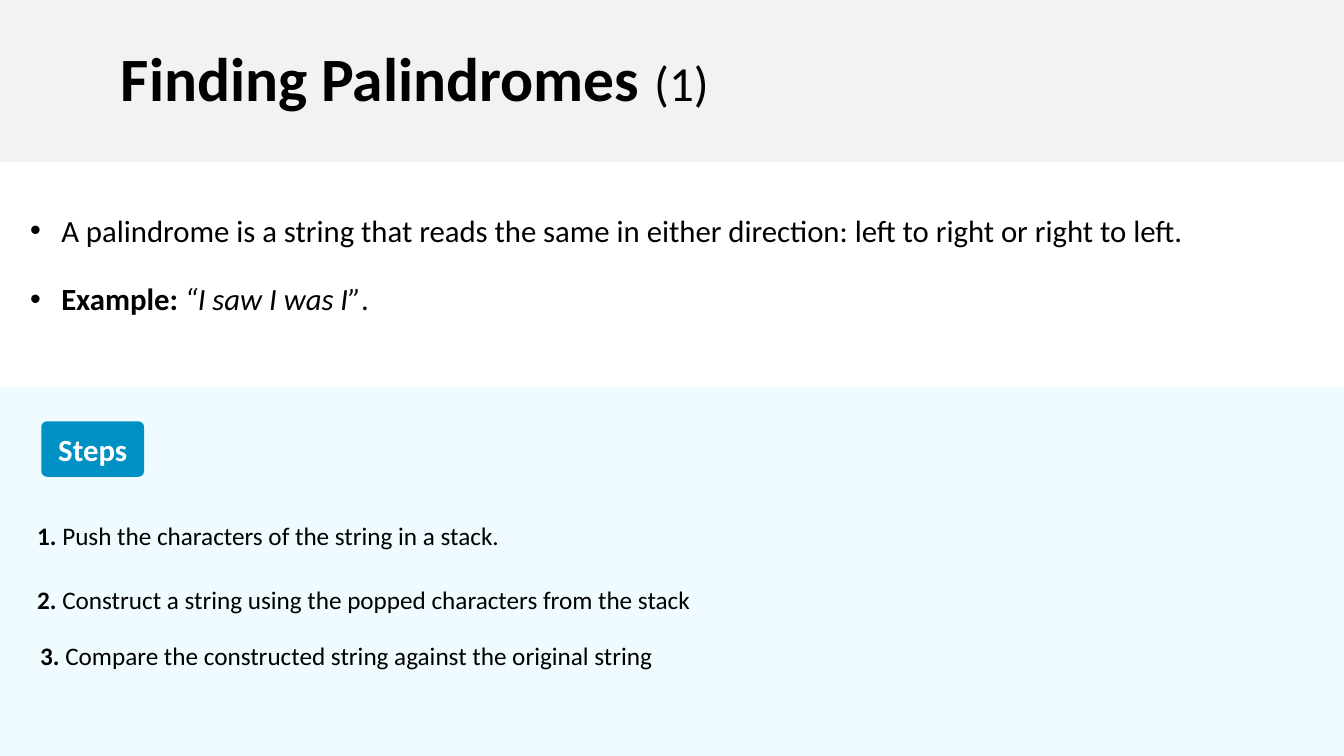
"""Builds the slide on finding palindromes with a stack."""
from lxml import etree
from pptx import Presentation
from pptx.dml.color import RGBColor
from pptx.enum.shapes import MSO_SHAPE
from pptx.enum.text import MSO_ANCHOR, MSO_AUTO_SIZE, PP_ALIGN
from pptx.oxml.ns import qn
from pptx.util import Inches, Pt

RECT, ROUND = MSO_SHAPE.RECTANGLE, MSO_SHAPE.ROUNDED_RECTANGLE
MIDDLE = MSO_ANCHOR.MIDDLE
LEFT, CENTER = PP_ALIGN.LEFT, PP_ALIGN.CENTER
NO_FIT = MSO_AUTO_SIZE.NONE
FONT = "Calibri"
COLORS = {"text": "000000", "white": "FFFFFF", "header": "F2F2F2",
          "panel": "EFFBFF", "badge": "0091C4"}

BULLETS = [
    (2.05, [("A palindrome is a string that reads the same in either direction: "
             "left to right or right to left.", "")]),
    (2.73, [("Example: ", "b"), ("“I saw I was I”", "i"), (".", "")]),
]
STEPS = [
    (0.27, 5.11, "Push the characters of the string in a stack."),
    (0.27, 5.75, "Construct a string using the popped characters from the stack"),
    (0.3, 6.3, "Compare the constructed string against the original string"),
]


def rgb(name):
    return RGBColor.from_string(COLORS[name])


def set_fill(sp, color):
    sp.fill.solid()
    sp.fill.fore_color.rgb = rgb(color)


def place(sp, left, top, width, height):
    sp.left, sp.top = Inches(left), Inches(top)
    sp.width, sp.height = Inches(width), Inches(height)


def add_run(p, text, size, style="", color="text"):
    r = p.add_run()
    r.text = text
    r.font.name, r.font.size = FONT, Pt(size)
    r.font.bold, r.font.italic = "b" in style, "i" in style
    r.font.color.rgb = rgb(color)


def add_bullet(p):
    pPr = p._p.get_or_add_pPr()
    pPr.set("marL", str(Inches(0.31)))
    pPr.set("indent", str(Inches(-0.31)))
    etree.SubElement(pPr, qn("a:buFont")).set("typeface", "Arial")
    etree.SubElement(pPr, qn("a:buChar")).set("char", "•")


def add_title(s):
    sp = s.shapes.title
    place(sp, 0, 0, 13.34, 1.61)
    set_fill(sp, "header")
    tf = sp.text_frame
    tf.auto_size, tf.vertical_anchor = NO_FIT, MIDDLE
    tf.margin_left = Inches(1.2)
    p = tf.paragraphs[0]
    p.alignment, p.line_spacing = LEFT, 0.9
    add_run(p, "Finding Palindromes ", 44, "b")
    add_run(p, "(1)", 35)


def add_box(s, shape, left, top, width, height, color):
    sp = s.shapes.add_shape(shape, Inches(left), Inches(top),
                            Inches(width), Inches(height))
    sp.shadow.inherit = False
    set_fill(sp, color)
    sp.line.fill.background()
    return sp


def add_text(s, left, top, width, height, runs, size, bullet=False):
    tb = s.shapes.add_textbox(Inches(left), Inches(top),
                              Inches(width), Inches(height))
    tb.text_frame.word_wrap = True
    p = tb.text_frame.paragraphs[0]
    if bullet:
        add_bullet(p)
    for text, style in runs:
        add_run(p, text, size, style)


def add_badge(s):
    sp = add_box(s, ROUND, 0.41, 4.18, 1.02, 0.55, "badge")
    sp.adjustments[0] = 0.1
    tf = sp.text_frame
    tf.vertical_anchor = MIDDLE
    p = tf.paragraphs[0]
    p.alignment = CENTER
    add_run(p, "Steps", 22, "b", "white")


def main():
    prs = Presentation()
    prs.slide_width, prs.slide_height = Inches(13.34), Inches(7.5)
    s = prs.slides.add_slide(prs.slide_layouts[5])
    add_title(s)
    for top, runs in BULLETS:
        add_text(s, 0.2, top, 12.71, 0.47, runs, 22, bullet=True)
    add_box(s, RECT, 0, 3.84, 13.34, 3.66, "panel")
    add_badge(s)
    for number, (left, top, step) in enumerate(STEPS, 1):
        add_text(s, left, top, 7.03, 0.4, [(f"{number}. ", "b"), (step, "")], 18)
    prs.save("out.pptx")


if __name__ == "__main__":
    main()
